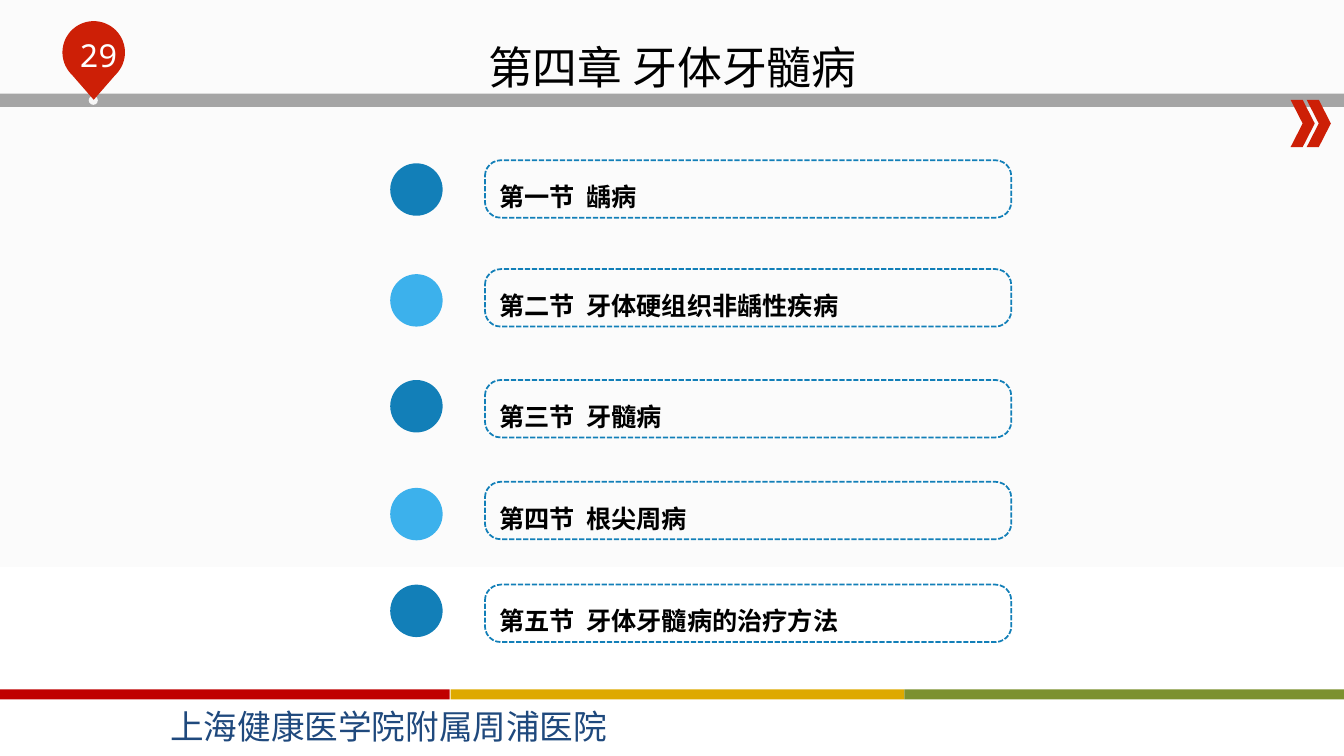
import math
from dataclasses import dataclass
from typing import Optional

import pptx
import pptx.dml.color
import pptx.enum.dml
import pptx.enum.shapes
import pptx.enum.text
import pptx.oxml
import pptx.oxml.ns
import pptx.util
from pptx.util import Inches

RGBColor = pptx.dml.color.RGBColor
Shape = pptx.enum.shapes.MSO_SHAPE
Align = pptx.enum.text.PP_ALIGN
Anchor = pptx.enum.text.MSO_ANCHOR

PAPER = RGBColor(0xFB, 0xFB, 0xFB)
WHITE = RGBColor(0xFF, 0xFF, 0xFF)
BLACK = RGBColor(0x00, 0x00, 0x00)
GREY = RGBColor(0xA5, 0xA5, 0xA5)
PALE = RGBColor(0xF6, 0xF6, 0xF6)
RED = RGBColor(0xCD, 0x1F, 0x06)
CRIMSON = RGBColor(0xC0, 0x00, 0x00)
GOLD = RGBColor(0xDE, 0xA9, 0x00)
OLIVE = RGBColor(0x7C, 0x91, 0x2F)
NAVY = RGBColor(0x1F, 0x49, 0x7D)
BLUE = RGBColor(0x12, 0x7F, 0xB8)
SKY = RGBColor(0x3C, 0xB1, 0xEC)

CJK_FONT = "Noto Sans CJK SC"
NUMBER_FONT = "Noto Sans Mono"
SECTION_FONT = "Times New Roman"


@dataclass
class Block:
    kind: Shape
    left: float
    top: float
    width: float
    height: float
    color: Optional[RGBColor]


@dataclass
class Section:
    number: str
    name: str
    dot_top: float
    frame_top: float
    color: RGBColor


FRAME_BLOCKS = [
    Block(Shape.RECTANGLE, 0, 0.93, 13.33, 0.13, GREY),
    Block(Shape.CHEVRON, 12.8, 0.99, 0.24, 0.47, RED),
    Block(Shape.CHEVRON, 12.96, 0.99, 0.24, 0.47, RED),
    Block(Shape.OVAL, 0.88, 0.95, 0.09, 0.09, PALE),
    Block(Shape.RECTANGLE, 0, 6.84, 4.46, 0.1, CRIMSON),
    Block(Shape.RECTANGLE, 4.47, 6.84, 4.5, 0.1, GOLD),
    Block(Shape.RECTANGLE, 8.97, 6.84, 4.36, 0.1, OLIVE),
]

SECTIONS = [
    Section("第一节", "龋病", 1.62, 1.59, BLUE),
    Section("第二节", "牙体硬组织非龋性疾病", 2.72, 2.67, SKY),
    Section("第三节", "牙髓病", 3.77, 3.77, BLUE),
    Section("第四节", "根尖周病", 4.84, 4.78, SKY),
    Section("第五节", "牙体牙髓病的治疗方法", 5.8, 5.8, BLUE),
]


def paint(shape, color: Optional[RGBColor]) -> None:
    shape.shadow.inherit = False
    shape.line.fill.background()
    if color is None:
        shape.fill.background()
    else:
        shape.fill.solid()
        shape.fill.fore_color.rgb = color


def add_block(page, block: Block):
    shape = page.shapes.add_shape(
        block.kind, Inches(block.left), Inches(block.top),
        Inches(block.width), Inches(block.height))
    paint(shape, block.color)
    return shape


def add_span(para, text: str, size: float, font: str, color: RGBColor,
             bold: bool = False) -> None:
    span = para.add_run()
    span.text = text
    span.font.size = pptx.util.Pt(size)
    span.font.name = font
    span.font.bold = bold
    span.font.color.rgb = color
    east_asian = pptx.oxml.parse_xml(
        f'<a:ea {pptx.oxml.ns.nsdecls("a")} typeface="{CJK_FONT}"/>')
    span.font.name and para.runs[-1].font._element.find(
        pptx.oxml.ns.qn("a:latin")).addnext(east_asian)


def add_text_box(page, left: float, top: float, width: float, height: float,
                 wrap: bool):
    box = page.shapes.add_textbox(
        Inches(left), Inches(top), Inches(width), Inches(height))
    box.text_frame.word_wrap = wrap
    return box.text_frame.paragraphs[0]


def add_pin(page, center_x: float, center_y: float, radius: float,
            tip_y: float) -> None:
    angles = [math.radians(degree) for degree in range(46, -227, -4)]
    arc = [(Inches(center_x + radius * math.cos(angle)),
            Inches(center_y + radius * math.sin(angle))) for angle in angles]
    builder = page.shapes.build_freeform(Inches(center_x), Inches(tip_y))
    builder.add_line_segments(arc, close=True)
    paint(builder.convert_to_shape(), RED)


def add_section(page, section: Section) -> None:
    add_block(page, Block(Shape.OVAL, 3.87, section.dot_top, 0.52, 0.52,
                          section.color))
    frame = add_block(page, Block(Shape.ROUNDED_RECTANGLE, 4.81,
                                  section.frame_top, 5.22, 0.57, None))
    frame.adjustments[0] = 0.275
    frame.line.color.rgb = BLUE
    frame.line.width = pptx.util.Pt(1.25)
    frame.line.dash_style = pptx.enum.dml.MSO_LINE.SQUARE_DOT
    frame.text_frame.word_wrap = True
    frame.text_frame.vertical_anchor = Anchor.MIDDLE
    para = frame.text_frame.paragraphs[0]
    para.alignment = Align.LEFT
    para.line_spacing = 1.5
    # Tab stop that aligns the section names
    para._p.get_or_add_pPr().append(pptx.oxml.parse_xml(
        f'<a:tabLst {pptx.oxml.ns.nsdecls("a")}>'
        f'<a:tab pos="{Inches(0.86)}" algn="l"/></a:tabLst>'))
    add_span(para, f"{section.number}\t{section.name}", 18, SECTION_FONT,
             BLACK, bold=True)


def main() -> None:
    deck = pptx.Presentation()
    deck.slide_width = Inches(13.33)
    deck.slide_height = Inches(7.5)
    page = deck.slides.add_slide(deck.slide_layouts[5])

    # Background: pale grey above, white below
    fill = page.background.fill
    fill.gradient()
    fill.gradient_angle = 270
    for stop, color in zip(fill.gradient_stops, (PAPER, WHITE)):
        stop.color.rgb = color
        stop.position = 0.75

    # Bars, chevrons and page-number pin
    for block in FRAME_BLOCKS:
        add_block(page, block)
    add_pin(page, 0.93, 0.52, 0.31, 0.99)
    number = add_text_box(page, 0.54, 0.31, 0.87, 0.41, wrap=True)
    number.alignment = Align.CENTER
    add_span(number, "29", 22.6, NUMBER_FONT, WHITE)

    # Footer
    footer = add_text_box(page, 1.59, 6.95, 4.53, 0.5, wrap=False)
    add_span(footer, "上海健康医学院附属周浦医院", 24, CJK_FONT, NAVY)

    # Title, in front of the bar
    title = page.shapes.title
    title.left, title.top = Inches(0.92), Inches(0.4)
    title.width, title.height = Inches(11.5), Inches(1.45)
    title.text_frame.vertical_anchor = Anchor.TOP
    heading = title.text_frame.paragraphs[0]
    heading.alignment = Align.CENTER
    heading.line_spacing = 0.9
    add_span(heading, "第四章 牙体牙髓病", 32, CJK_FONT, BLACK)
    title.element.getparent().append(title.element)

    # Sections
    for section in SECTIONS:
        add_section(page, section)

    deck.save("out.pptx")


if __name__ == "__main__":
    main()
